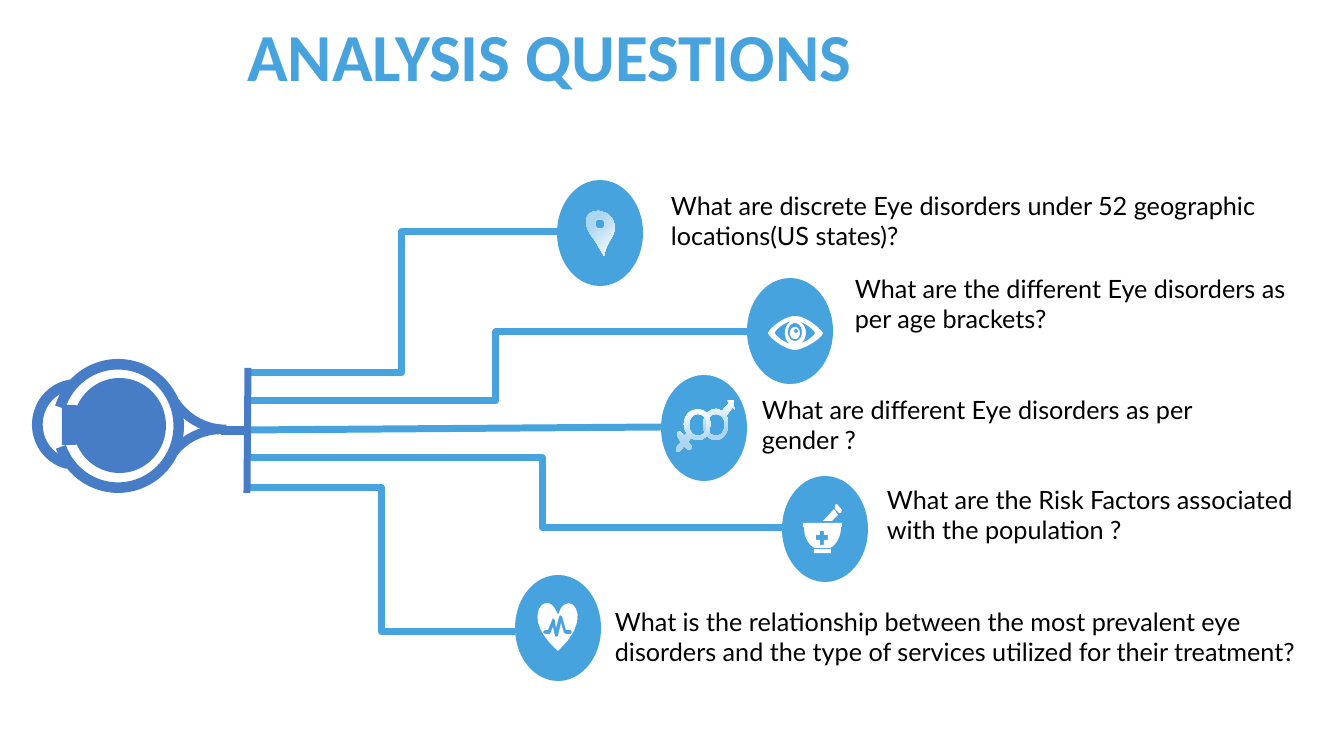
from lxml.etree import SubElement
from pptx import Presentation
from pptx.dml.color import RGBColor
from pptx.enum.shapes import MSO_CONNECTOR, MSO_SHAPE
from pptx.enum.text import MSO_ANCHOR, MSO_AUTO_SIZE, PP_ALIGN
from pptx.oxml.ns import qn
from pptx.util import Pt
from math import cos, pi, sin

PX = 9071
COLORS = {"sky": "47A3DE", "iris": "477DC7", "white": "FFFFFF", "pale": "ACD6F0", "ink": "000000"}
CIRCLE_WIDTH, CIRCLE_HEIGHT = 86, 106


def paint(shape, color, angle=None):
    shape.shadow.inherit = False
    shape.line.fill.background()
    if angle is None:
        shape.fill.solid()
        shape.fill.fore_color.rgb = RGBColor.from_string(COLORS[color])
        return
    shape.fill.gradient()
    shape.fill.gradient_angle = angle
    for stop, name, position in zip(shape.fill.gradient_stops, ("white", color), (0, 0.74)):
        stop.color.rgb = RGBColor.from_string(COLORS[name])
        stop.position = position


def trace(contour):
    points = []
    for step in contour:
        if len(step) == 2:
            points.append(step)
        elif len(step) == 4:
            x, y, rx, ry = step
            points += [(x + rx * cos(i * pi / 16), y + ry * sin(i * pi / 16)) for i in range(32)]
        else:
            curve = [points[-1], step[:2], step[2:4], step[4:]]
            for i in range(1, 11):
                t = i / 10
                weights = ((1 - t) ** 3, 3 * t * (1 - t) ** 2, 3 * t * t * (1 - t), t ** 3)
                points.append(tuple(sum(w * p[axis] for w, p in zip(weights, curve)) for axis in (0, 1)))
    return [(x * PX, y * PX) for x, y in points]


deck = Presentation()
deck.slide_width, deck.slide_height = 1344 * PX, 756 * PX
page = deck.slides.add_slide(deck.slide_layouts[6])
shapes = page.shapes

circles = [(557, 180), (747, 278), (661, 375), (782, 476), (515, 575)]
for x, y in circles:
    circle = shapes.add_shape(MSO_SHAPE.OVAL, x * PX, y * PX, CIRCLE_WIDTH * PX, CIRCLE_HEIGHT * PX)
    paint(circle, "sky")

nerves = [
    (246, 373, 557, 232, "sky", 50000),
    (245, 401, 747, 332, "sky", 50000),
    (247, 430, 661, 427, "sky", None),
    (247, 458, 782, 528, "sky", 55200),
    (248, 488, 515, 632, "sky", 50000),
    (248, 368, 247, 493, "iris", None),
]
for *ends, color, bend in nerves:
    kind = MSO_CONNECTOR.ELBOW if bend else MSO_CONNECTOR.STRAIGHT
    nerve = shapes.add_connector(kind, *(end * PX for end in ends))
    nerve.line.color.rgb = RGBColor.from_string(COLORS[color])
    nerve.line.width = Pt(5)
    properties = nerve._element.spPr
    SubElement(properties, qn("a:effectLst"))
    if bend:
        guides = properties.find(qn("a:prstGeom")).get_or_add_avLst()
        SubElement(guides, qn("a:gd"), name="adj1", fmla=f"val {bend}")

eyeball = [
    (MSO_SHAPE.BLOCK_ARC, 51, 360, 134, 132, 90, (64.75, 41.93, 0.08)),
    (MSO_SHAPE.OVAL, 73, 378, 93, 95, 0, ()),
    (MSO_SHAPE.ROUND_2_SAME_RECTANGLE, 52, 415, 40, 20, 90, (0.36, 0)),
    (MSO_SHAPE.BLOCK_ARC, 31, 380, 91, 89, 270, (115.67, 211.44, 0.12)),
    (MSO_SHAPE.BLOCK_ARC, 160, 300, 132, 134, 0, (53.74, 87.47, 0.07)),
    (MSO_SHAPE.BLOCK_ARC, 155, 425, 132, 134, 0, (127.12, 162.26, 0.07)),
    (MSO_SHAPE.RECTANGLE, 221, 426, 26, 9, 0, ()),
]
for kind, x, y, width, height, rotation, adjustments in eyeball:
    part = shapes.add_shape(kind, x * PX, y * PX, width * PX, height * PX)
    part.rotation = rotation
    for index, value in enumerate(adjustments):
        part.adjustments[index] = value
    paint(part, "iris")

heart = [
    [(558, 615), (566, 586, 598, 615, 558, 651), (528, 625, 537, 603, 547, 603), (551, 603, 555, 607, 558, 615)],
    [(559, 617), (556, 628), (555, 620), (553, 618), (552, 620), (548, 630), (545, 630), (543, 632),
     (545, 634), (550, 634), (553, 627), (555, 636), (556, 637), (558, 636), (561, 623), (564, 633),
     (566, 634), (571, 634), (572, 632), (571, 630), (566, 630), (562, 616), (560, 615)],
]
mortar = [
    [(814, 549), (831, 549), (831, 553), (814, 553)],
    [(804, 527), (841, 527), (841, 536, 837, 543, 832, 547), (830, 548), (815, 548), (813, 547),
     (807, 543, 804, 535, 804, 527)],
    [(820, 531), (820, 535), (816, 535), (816, 540), (820, 540), (820, 545), (824, 545), (824, 540),
     (828, 540), (828, 535), (824, 535), (824, 531)],
    [(803, 523), (842, 523), (842, 527), (803, 527)],
    [(834, 509), (838, 515), (832, 521), (823, 521)],
    [(837, 504), (842, 510), (841, 513), (839, 513), (835, 509), (835, 505)],
]
eye = [
    [(768, 333), (769, 329, 784, 316, 795, 316), (806, 316, 820, 328, 823, 333),
     (823, 337, 806, 349, 795, 350), (783, 349, 769, 337, 768, 333)],
    [(798, 321), (803, 323, 806, 327, 806, 333), (806, 337, 804, 341, 801, 343),
     (808, 341, 815, 335, 815, 333), (814, 330, 806, 323, 798, 321)],
    [(793, 321), (784, 322, 775, 330, 775, 333), (775, 335, 782, 341, 790, 344),
     (787, 342, 785, 338, 785, 333), (785, 327, 788, 322, 793, 321)],
    [(795, 332, 7, 9)],
    [(795, 333, 5, 6)],
    [(796, 331, 2, 2)],
]
pin = [
    [(599, 211), (603, 212, 607, 213, 610, 216), (616, 223, 616, 230, 612, 237),
     (608, 244, 606, 247, 604, 256), (598, 246, 597, 243, 591, 235),
     (586, 228, 584, 219, 589, 214), (592, 212, 595, 211, 599, 211)],
    [(600, 224, 5, 5)],
]
male = [
    [(734, 400), (735, 410), (733, 407), (726, 416), (728, 418, 728, 421, 728, 425),
     (728, 433, 723, 440, 716, 440), (709, 440, 703, 433, 703, 425), (703, 416, 709, 409, 716, 409),
     (718, 409, 720, 410, 722, 411), (729, 403), (727, 400)],
    [(716, 425, 9, 11)],
]
female = [
    [(698, 409), (705, 409, 711, 416, 711, 424), (711, 433, 705, 440, 698, 440),
     (695, 440, 693, 439, 691, 438), (688, 442), (691, 445), (692, 446, 692, 448, 691, 449),
     (690, 450, 688, 450, 687, 449), (684, 446), (680, 451), (679, 453, 677, 453, 677, 451),
     (676, 450, 676, 448, 677, 447), (681, 442), (678, 437), (677, 436, 677, 434, 678, 432),
     (679, 431, 680, 431, 681, 432), (684, 436), (687, 433), (685, 431, 684, 428, 684, 424),
     (684, 416, 690, 409, 698, 409)],
    [(698, 425, 9, 11)],
]
icons = [
    (heart, "white", None), (mortar, "white", None), (eye, "white", None),
    (pin, "pale", 135), (male, "pale", 270), (female, "pale", 270),
]
for contours, color, angle in icons:
    first, *others = [trace(contour) for contour in contours]
    builder = shapes.build_freeform(*first[0])
    builder.add_line_segments(first[1:])
    for points in others:
        builder.move_to(*points[0])
        builder.add_line_segments(points[1:])
    paint(builder.convert_to_shape(), color, angle)

texts = [
    (26, 12, 1047, 85, "ANALYSIS QUESTIONS"),
    (661, 185, 660, 72, "What are discrete Eye disorders under 52 geographic locations(US states)?"),
    (845, 268, 461, 72, "What are the different Eye disorders as per age brackets?"),
    (752, 389, 546, 72, "What are different Eye disorders as per gender ?"),
    (877, 479, 472, 72, "What are the Risk Factors associated with the population ?"),
    (605, 601, 716, 72, "What is the relationship between the most prevalent eye disorders "
                        "and the type of services utilized for their treatment?"),
]
for index, (x, y, width, height, words) in enumerate(texts):
    is_title = index == 0
    box = shapes.add_textbox(x * PX, y * PX, width * PX, height * PX)
    frame = box.text_frame
    frame.word_wrap = True
    frame.auto_size = MSO_AUTO_SIZE.NONE if is_title else MSO_AUTO_SIZE.SHAPE_TO_FIT_TEXT
    frame.vertical_anchor = MSO_ANCHOR.MIDDLE if is_title else MSO_ANCHOR.TOP
    para = frame.paragraphs[0]
    para.alignment = PP_ALIGN.CENTER if is_title else PP_ALIGN.LEFT
    span = para.add_run()
    span.text = words
    span.font.name = "Calibri" if is_title else "Lato"
    span.font.size = Pt(48 if is_title else 18)
    span.font.bold = is_title
    span.font.color.rgb = RGBColor.from_string(COLORS["sky" if is_title else "ink"])

deck.save("out.pptx")
